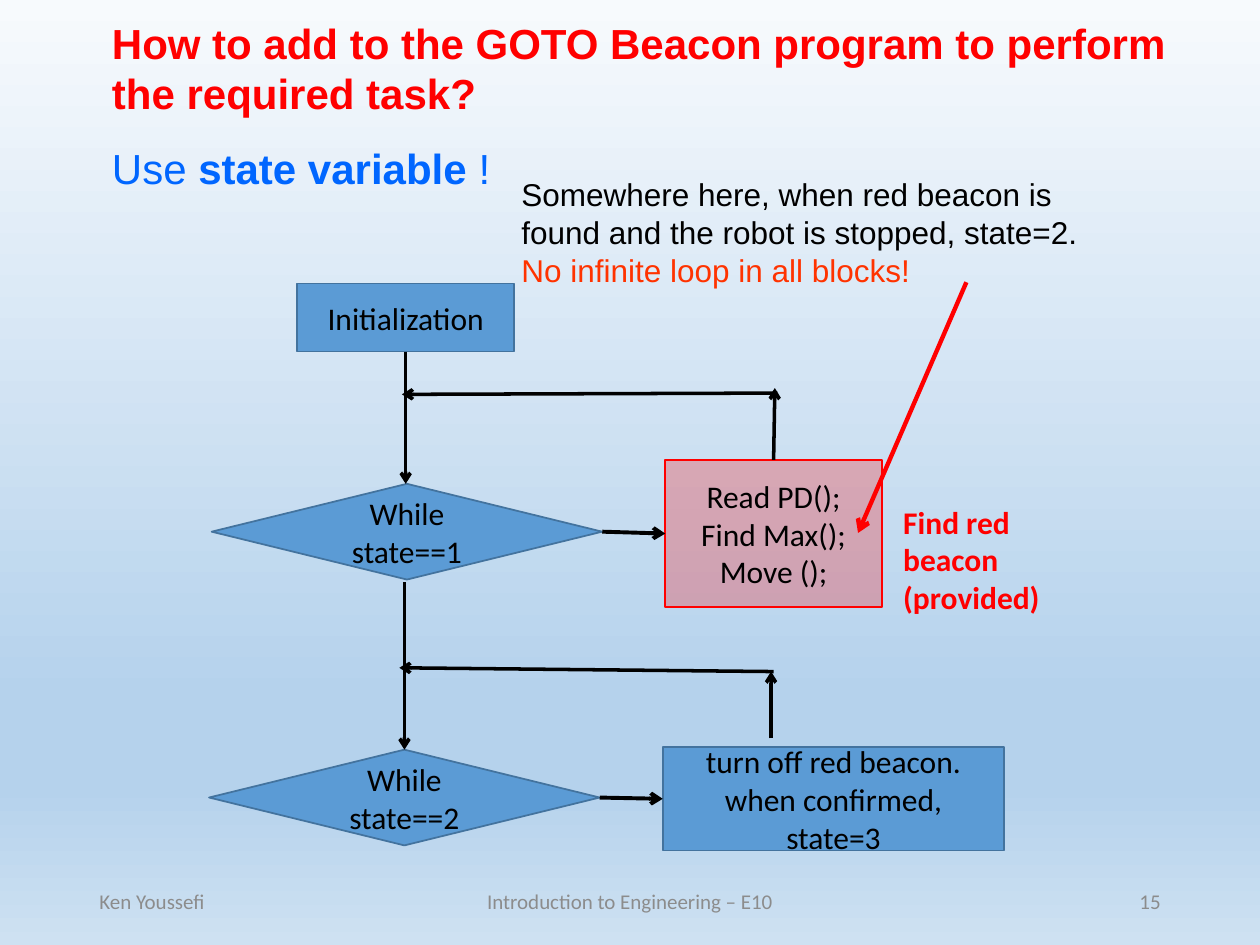
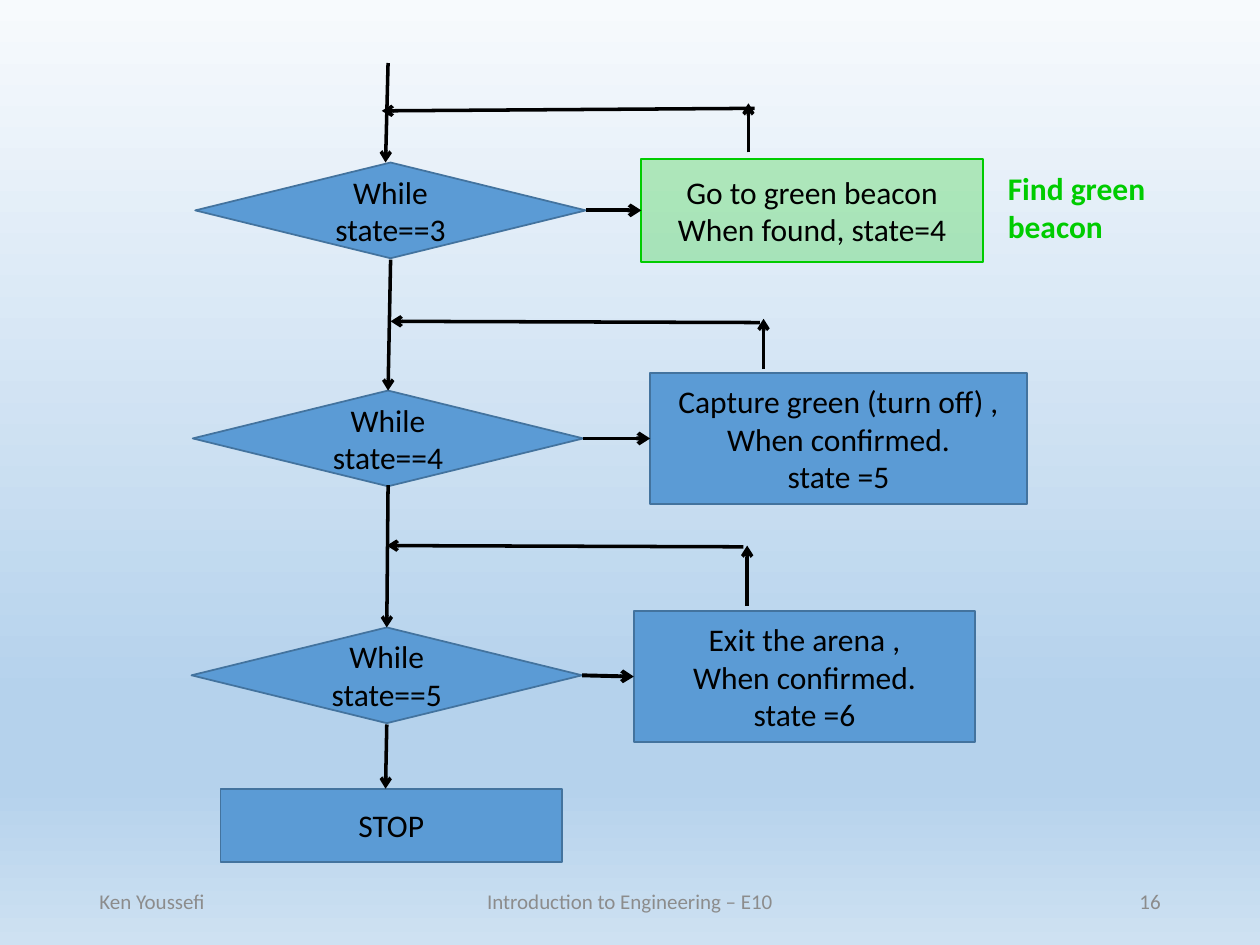
from copy import deepcopy
from dataclasses import dataclass

from lxml.etree import SubElement as Sub
from pptx import Presentation
from pptx.dml.color import RGBColor as Rgb
from pptx.enum.shapes import MSO_CONNECTOR as Link, MSO_SHAPE as Form
from pptx.enum.text import MSO_ANCHOR as Anchor, PP_ALIGN as Align
from pptx.oxml.ns import qn
from pptx.util import Inches, Pt


@dataclass(frozen=True)
class Theme:
    head: str = "Arial"
    body: str = "Calibri"
    big: int = 24
    mid: int = 18
    small: int = 12
    black: str = "000000"
    gray: str = "8C8C8C"
    red: str = "FF0000"
    warm: str = "FF3300"
    green: str = "00CC00"
    blue: str = "0066FF"
    fill: str = "5B9BD5"
    edge: str = "43739E"
    thin: float = 1
    line: float = 2
    thick: float = 2.25
    bold: float = 2.5
    sky: tuple = ((0, "F7FAFD"), (74, "B5D2EC"), (83, "B5D2EC"), (100, "CEE1F2"))


T = Theme()
WHILE_W, WHILE_H = 3.1, 0.76


@dataclass
class Step:
    """One while loop; all points are offsets from the corner of its diamond."""
    state: int
    box: tuple
    lines: list
    spine: tuple
    back: tuple
    rise: tuple
    tint: str = ""


def rgb(code):
    return Rgb.from_string(code)


def paint_sky(slide):
    fill = slide.background.fill
    fill.gradient()
    fill.gradient_angle = 270
    stops = fill.gradient_stops
    for stop, (_, tone) in zip(stops, T.sky):
        stop.color.rgb = rgb(tone)
    group = slide.element.find(".//" + qn("a:gsLst"))
    model = deepcopy(group[0])
    for old in list(group):
        group.remove(old)
    for place, tone in T.sky:
        stop = deepcopy(model)
        stop.set("pos", str(place * 1000))
        stop[0].set("val", tone)
        group.append(stop)


def add_run(para, text, color=T.black, size=T.mid, face=T.body, bold=False):
    run = para.add_run()
    run.text = text
    font = run.font
    font.name, font.size, font.bold = face, Pt(size), bold
    font.color.rgb = rgb(color)


def write(shape, paras, align=Align.LEFT, anchor=Anchor.TOP):
    """Fill a shape with paragraphs, each a list of (text, style) runs."""
    frame = shape.text_frame
    frame.word_wrap = True
    frame.vertical_anchor = anchor
    for i, runs in enumerate(paras):
        para = frame.add_paragraph() if i else frame.paragraphs[0]
        para.alignment = align
        for text, style in runs:
            add_run(para, text, **style)
    return frame


def add_text(slide, box, paras, **place):
    area = slide.shapes.add_textbox(*map(Inches, box))
    return write(area, paras, **place)


def add_node(slide, form, box, lines, tint=""):
    """Flowchart node; a tint gives a pale fill with a matching edge."""
    node = slide.shapes.add_shape(form, *map(Inches, box))
    node.shadow.inherit = False
    node.fill.solid()
    node.fill.fore_color.rgb = rgb(tint or T.fill)
    if tint:
        color = node.fill._xPr.find(qn("a:solidFill"))[0]
        Sub(color, qn("a:alpha"), val="25000")
    node.line.color.rgb = rgb(tint or T.edge)
    node.line.width = Pt(T.thin)
    write(node, [[(line, {})] for line in lines], Align.CENTER, Anchor.MIDDLE)


def add_arrow(slide, start, end, width=T.line, color=T.black):
    arrow = slide.shapes.add_connector(Link.STRAIGHT, *map(Inches, start + end))
    arrow.line.color.rgb = rgb(color)
    arrow.line.width = Pt(width)
    Sub(arrow.line._get_or_add_ln(), qn("a:tailEnd"), type="arrow")
    Sub(arrow._element.spPr, qn("a:effectLst"))


def add_step(slide, left, top, step):
    def shift(point):
        return left + point[0], top + point[1]

    x, y, wide, high = step.box
    add_node(slide, Form.FLOWCHART_DECISION, (left, top, WHILE_W, WHILE_H),
             [f"While state=={step.state}"])
    add_node(slide, Form.FLOWCHART_PROCESS, shift((x, y)) + (wide, high),
             step.lines, step.tint)
    add_arrow(slide, shift((WHILE_W, WHILE_H / 2)), shift((x, y + high / 2)), T.thick)
    for start, end in (step.spine, step.back, step.rise):
        add_arrow(slide, shift(start), shift(end))


def add_foot(slide, number):
    style = dict(color=T.gray, size=T.small)
    parts = ((0.69, 2.25, "Ken Youssefi", Align.LEFT),
             (3.31, 3.38, "Introduction to Engineering – E10", Align.CENTER),
             (7.06, 2.25, str(number), Align.RIGHT))
    for left, wide, text, align in parts:
        add_text(slide, (left, 6.95, wide, 0.4), [[(text, style)]],
                 align=align, anchor=Anchor.MIDDLE)


def add_title(slide, box):
    top = dict(color=T.red, size=T.big, face=T.head, bold=True)
    sub = dict(top, color=T.blue, bold=False)
    frame = add_text(slide, box, [
        [("How to add to the GOTO Beacon program to perform the required task?", top)],
        [("Use ", sub), ("state variable ", dict(sub, bold=True)), ("!", sub)]])
    frame.paragraphs[1].space_before = Pt(14)


def add_tag(slide, box, text, color):
    add_text(slide, box, [[(text, dict(color=color, bold=True))]])


def add_hint(slide, box):
    left, top, wide, high = box
    add_text(slide, box, [
        [("Somewhere here, when red beacon is found and the robot is stopped, state=2.",
          dict(face=T.head))],
        [("No infinite loop in all blocks!", dict(face=T.head, color=T.warm))]])
    add_arrow(slide, (left + 3.63, top + 0.9), (left + 2.77, top + 2.89), T.bold, T.red)


def new_slide(deck, number):
    slide = deck.slides.add_slide(deck.slide_layouts[6])
    paint_sky(slide)
    add_foot(slide, number)
    return slide


def red_slide(deck):
    slide = new_slide(deck, 15)
    add_title(slide, (0.79, 0.09, 8.68, 1.51))
    add_node(slide, Form.FLOWCHART_PROCESS, (2.36, 2.25, 1.72, 0.54), ["Initialization"])
    add_step(slide, 1.68, 3.84, Step(
        1, (3.6, -0.19, 1.72, 1.17), ["Read PD();", "Find Max();", "Move ();"],
        spine=((1.54, -1.05), (1.54, 0)), back=((4.49, -0.72), (1.51, -0.71)),
        rise=((4.46, -0.19), (4.47, -0.76)), tint=T.red))
    add_step(slide, 1.66, 5.95, Step(
        2, (3.6, -0.02, 2.71, 0.82), ["turn off red beacon. when confirmed, state=3"],
        spine=((1.55, -1.33), (1.55, 0)), back=((4.48, -0.62), (1.51, -0.65)),
        rise=((4.46, -0.09), (4.46, -0.62))))
    add_hint(slide, (4.04, 1.34, 4.67, 1.01))
    add_tag(slide, (7.07, 3.94, 1.32, 1.01), "Find red beacon (provided)", T.red)


def green_slide(deck):
    slide = new_slide(deck, 16)
    add_step(slide, 1.55, 1.29, Step(
        3, (3.54, -0.03, 2.71, 0.82), ["Go to green beacon", "When found, state=4"],
        spine=((1.53, -0.79), (1.51, 0)), back=((4.44, -0.43), (1.48, -0.41)),
        rise=((4.39, -0.08), (4.39, -0.47)), tint=T.green))
    add_step(slide, 1.53, 3.1, Step(
        4, (3.63, -0.14, 2.99, 1.04),
        ["Capture green (turn off) ,", "When confirmed.", "state =5"],
        spine=((1.57, -1.04), (1.55, 0)), back=((4.5, -0.54), (1.57, -0.55)),
        rise=((4.53, -0.17), (4.53, -0.57))))
    add_step(slide, 1.52, 4.98, Step(
        5, (3.51, -0.13, 2.71, 1.04),
        ["Exit the arena ,", "When confirmed.", "state =6"],
        spine=((1.56, -1.13), (1.55, 0)), back=((4.38, -0.64), (1.55, -0.65)),
        rise=((4.41, -0.17), (4.41, -0.65))))
    add_tag(slide, (7.9, 1.29, 1.61, 0.71), "Find green beacon", T.green)
    add_node(slide, Form.FLOWCHART_PROCESS, (1.75, 6.26, 2.71, 0.58), ["STOP"])
    add_arrow(slide, (3.07, 5.75), (3.06, 6.26))


def main():
    deck = Presentation()
    deck.slide_width, deck.slide_height = Inches(10), Inches(7.5)
    red_slide(deck)
    green_slide(deck)
    deck.save("out.pptx")


if __name__ == "__main__":
    main()
